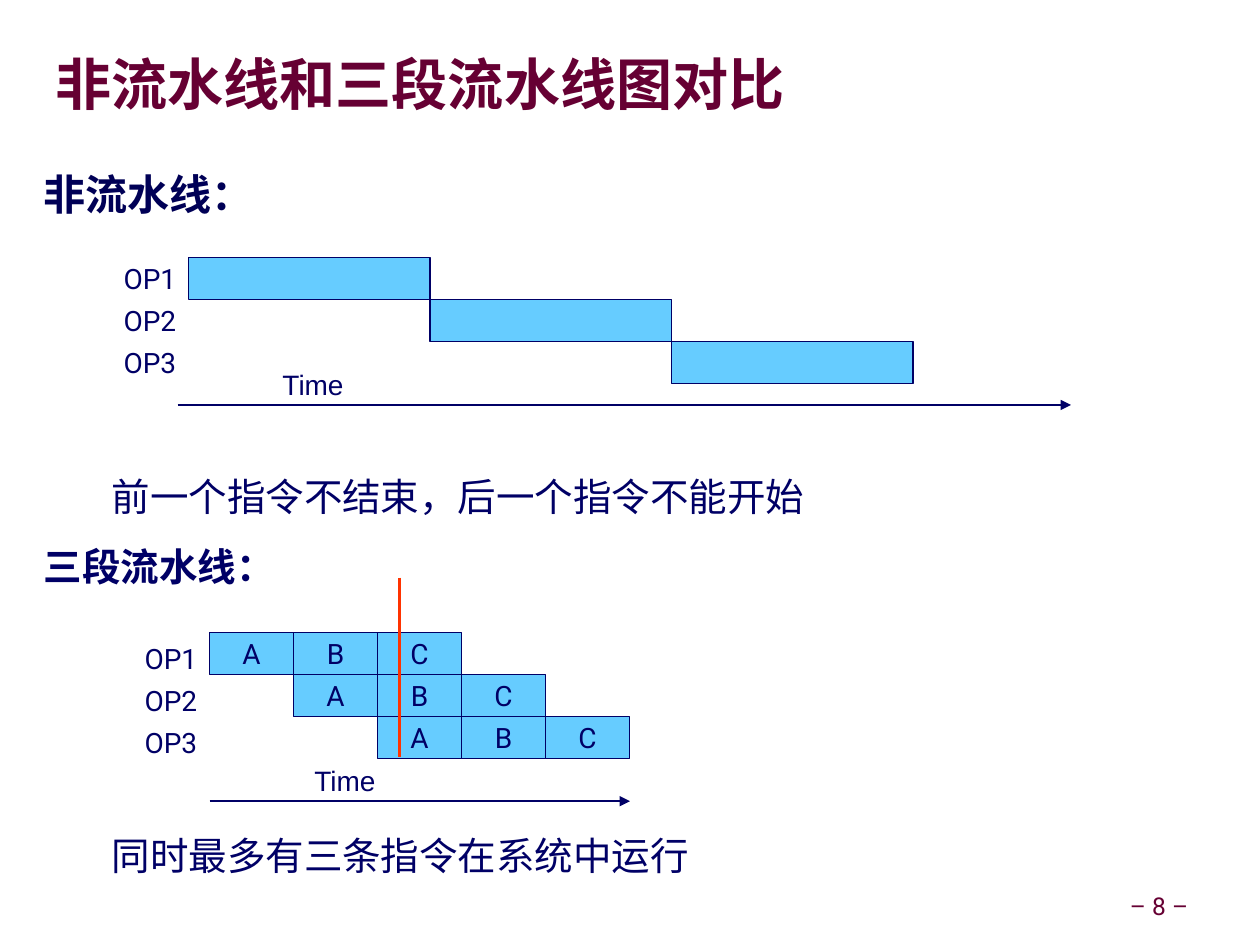
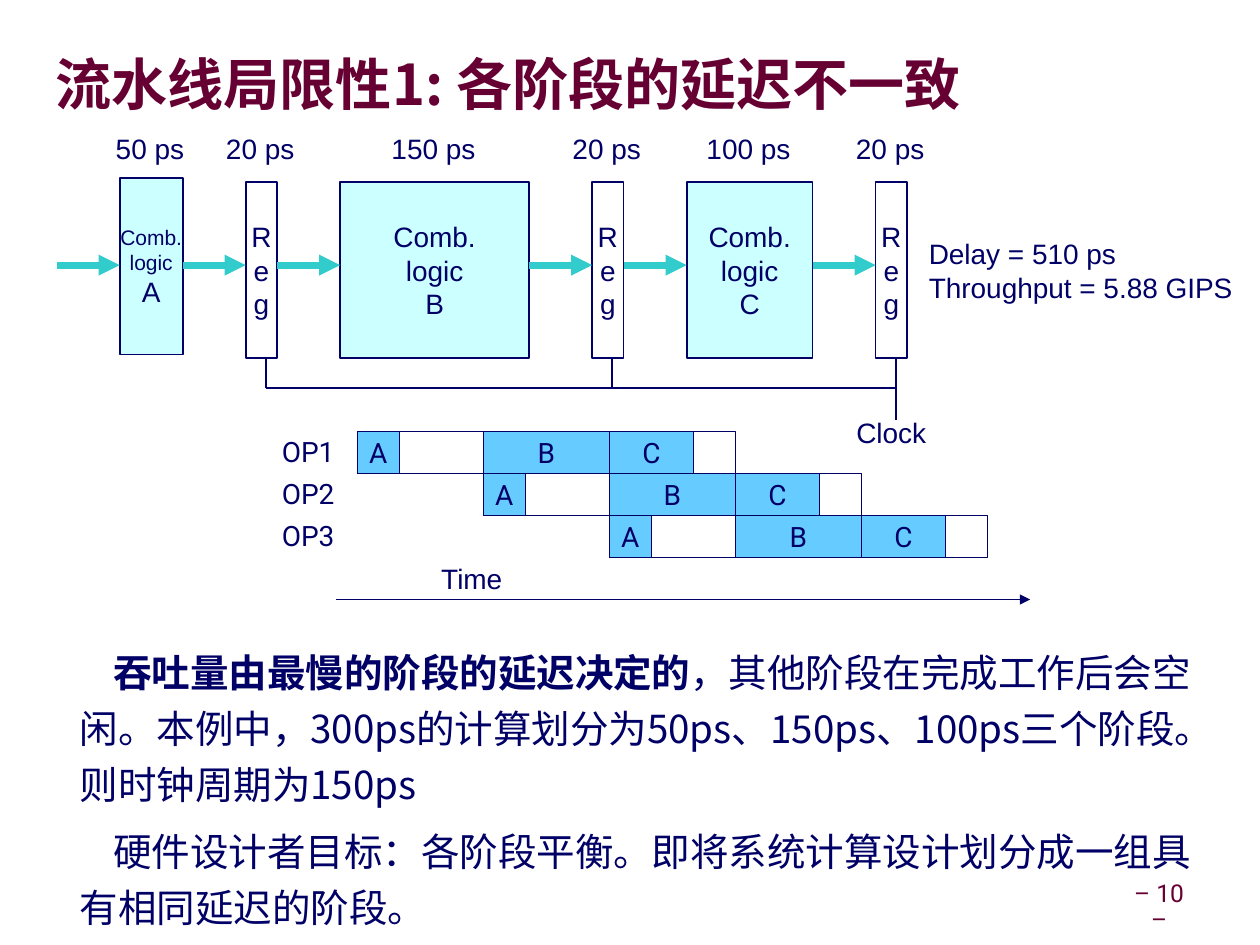
from pptx import Presentation, util as u
from pptx.dml.color import RGBColor
from pptx.enum import shapes, text as t
from pptx.oxml.ns import qn
from lxml import etree

INK = {"text": "000066", "deep": "000056", "title": "660033", "bar": "66CCFF",
       "logic": "CCFFFF", "flow": "33CCCC", "mark": "FF3300", "white": "FFFFFF"}
CJK, OPS = "Noto Sans CJK SC", "Roboto"
SIDE = {"l": t.PP_ALIGN.LEFT, "c": t.PP_ALIGN.CENTER, "r": t.PP_ALIGN.RIGHT}

deck = Presentation()
deck.slide_width, deck.slide_height = u.Inches(9.99), u.Inches(7.49)
CELL = deck.slide_width / 30  # the slide is a grid of 30 columns of square cells


def write(frame, words, size=16, font="Arial", color="text", bold=False, side="l",
          pitch=1.0, before=0, left=None, first=0, join=False):
    """Add a paragraph, or with join a run of the last paragraph."""
    para = frame.paragraphs[-1]
    if not join:
        if para.runs:
            para = frame.add_paragraph()
        if left is not None:
            prop = para._p.get_or_add_pPr()
            prop.set("marL", str(int(left * CELL)))
            prop.set("indent", str(int(first * CELL)))
            etree.SubElement(prop, qn("a:buNone"))
        para.alignment = SIDE[side]
        para.line_spacing = pitch
        para.space_before = u.Pt(before)
    run = para.add_run()
    run.text = words
    face = run.font
    face.size, face.name, face.bold = u.Pt(size), font, bold
    face.color.rgb = RGBColor.from_string(INK[color])
    etree.SubElement(run._r.get_or_add_rPr(), qn("a:ea")).set("typeface", font)


def box(page, x, y, wide, high, lines=(), fill=None, edge=None, side="c", **form):
    """Place a rectangle, or a text box without fill and edge; lengths in cells."""
    area = [int(v * CELL) for v in (x, y, wide, high)]
    if fill or edge:
        item = page.shapes.add_shape(shapes.MSO_SHAPE.RECTANGLE, *area)
        item.shadow.inherit = False
        if edge:
            item.line.width = u.Pt(edge)
            item.line.color.rgb = RGBColor.from_string(INK["text"])
        else:
            item.line.fill.background()
        if fill:
            item.fill.solid()
            item.fill.fore_color.rgb = RGBColor.from_string(INK[fill])
        else:
            item.fill.background()
    else:
        item = page.shapes.add_textbox(*area)
    frame = item.text_frame
    frame.word_wrap = side != "c"
    frame.vertical_anchor = t.MSO_ANCHOR.MIDDLE
    for line in lines:
        write(frame, line, side=side, **form)
    return frame


# Shared frame of both slides: title, body area, page number
pages, bodies = [], []
for title, number, area in (
        ("非流水线和三段流水线图对比", 8, (0.74, 3.4, 27.7, 17.65)),
        ("流水线局限性1: 各阶段的延迟不一致", 10, (1, 15.06, 28, 6.3))):
    page = deck.slides.add_slide(deck.slide_layouts[1])
    head, body = page.placeholders
    for item, place in ((head, (1.32, 0.81, 27.7, 2.55)), (body, area)):
        item.left, item.top, item.width, item.height = [int(v * CELL) for v in place]
        item.text_frame.auto_size = t.MSO_AUTO_SIZE.NONE
        item.text_frame.word_wrap = True
    frame = head.text_frame
    frame.margin_left = frame.margin_right = frame.margin_top = frame.margin_bottom = 0
    frame.vertical_anchor = t.MSO_ANCHOR.MIDDLE
    write(frame, title, size=32, font=CJK, color="title", bold=True, pitch=0.87)
    body.text_frame.vertical_anchor = t.MSO_ANCHOR.TOP
    foot = box(page, 26.7, 21.14, 1.8, 0.93)
    foot.word_wrap = True
    foot.margin_left = foot.margin_right = u.Inches(0.05)
    write(foot, f"– {number} –", size=14, font=OPS, color="title", side="c", pitch=0.9)
    pages.append(page)
    bodies.append(body.text_frame)
plain, limit = pages

# Body of the comparison: space before leaves room for the charts
for words, size, color, bold, left, before in (
        ("非流水线：", 24, "deep", True, 0, 0),
        ("前一个指令不结束，后一个指令不能开始", 22, "text", False, 1.62, 131),
        ("三段流水线：", 22, "text", True, 0, 0),
        ("同时最多有三条指令在系统中运行", 22, "text", False, 1.62, 125)):
    write(bodies[0], words, size=size, font=CJK, color=color, bold=bold,
          pitch=u.Pt(40), before=before, left=left)

# Body of the limitation
note = dict(size=22, font=CJK, pitch=u.Pt(32), left=0.6, first=0.8)
write(bodies[1], "吞吐量由最慢的阶段的延迟决定的", bold=True, **note)
write(bodies[1], "，其他阶段在完成工作后会空闲。本例中，300ps的计算划分为50ps、"
      "150ps、100ps三个阶段。则时钟周期为150ps", join=True, **note)
write(bodies[1], "硬件设计者目标：各阶段平衡。即将系统计算设计划分成一组具有相同延迟的阶段。",
      before=6, **note)

# Lines are collected as page, from, to, colour, width, arrowhead
lines = []

# Timing charts: three operations, each one row lower and one step later
whole = [(0, 5.75, "", "bar")]
even = [(2 * n, 2, name, "bar") for n, name in enumerate("ABC")]
uneven = [(0, 1, "A", "bar"), (3, 3, "B", "bar"), (6, 2, "C", "bar"),
          (0, 3, "", None), (6, 3, "", None)]
for page, x, y, step, parts, gap, drop, start, end, base in (
        (plain, 4.49, 6.13, 5.75, whole, 0, 0, 4.23, 25.5, 9.64),
        (plain, 4.99, 15.06, 2, even, 0, 0.1, 4.99, 15, 19.07),
        (limit, 8.51, 10.27, 3, uneven, 0.25, -0.03, 8.01, 24.53, 14.27)):
    for row in range(3):
        box(page, x - gap - 2.75, y + row + drop, 2.75, 1, [f"OP{row + 1}"],
            fill="white", side="r", font=OPS)
        for shift, wide, name, fill in parts:
            box(page, x + row * step + shift, y + row, wide, 1, name,
                fill=fill, edge=0.75, font=OPS)
    box(page, start + 2.2, base - 1.04, 2.5, 1.08, ["Time"], side="l")
    lines.append((page, start, base, end, base, "text", 1, True))
lines.append((plain, 9.51, 13.75, 9.51, 18.02, "mark", 1.5, False))

# Circuit: an arrow of 1.5 cells leads into every block
x, gap, top, tall, bus = 1.35, 1.5, 4.33, 4.2, 9.24
taps = []
for name, wide, delay in (("A", 1.5, 50), ("Reg", 0.75, 20), ("B", 4.5, 150),
                          ("Reg", 0.75, 20), ("C", 3, 100), ("Reg", 0.75, 20)):
    lines.append((limit, x, 6.31, x + gap, 6.31, "flow", 4, True))
    x += gap
    if name == "Reg":
        box(limit, x, top, wide, tall, name, fill="white", edge=1)
        taps.append(x + 0.48)
    else:
        lift = 0.09 if name == "A" else 0
        frame = box(limit, x, top - lift, wide, tall, ["Comb.", "logic"], fill="logic",
                    edge=1, size=12 if name == "A" else 16)
        write(frame, name, side="c")
    box(limit, x + wide / 2 - 1.53, 2.99, 3, 1.08, [f"{delay} ps"])
    x += wide
box(limit, 21.82, 5.5, 8.17, 1.88, ["Delay = 510 ps", "Throughput = 5.88 GIPS"], side="l")

# Clock line under the registers
for tap in taps:
    low = 10 if tap == taps[-1] else bus
    lines.append((limit, tap, top + tall, tap, low, "text", 1, False))
lines.append((limit, taps[0], bus, taps[-1], bus, "text", 1, False))
box(limit, 19.72, 9.74, 3, 1.08, ["Clock"])

# Draw the lines
for page, x1, y1, x2, y2, color, width, arrow in lines:
    ends = [int(v * CELL) for v in (x1, y1, x2, y2)]
    line = page.shapes.add_connector(shapes.MSO_CONNECTOR.STRAIGHT, *ends)
    line.line.width = u.Pt(width)
    line.line.color.rgb = RGBColor.from_string(INK[color])
    if arrow:
        etree.SubElement(line.line._get_or_add_ln(), qn("a:tailEnd")).set("type", "triangle")
    etree.SubElement(line._element.spPr, qn("a:effectLst"))

deck.save("out.pptx")
